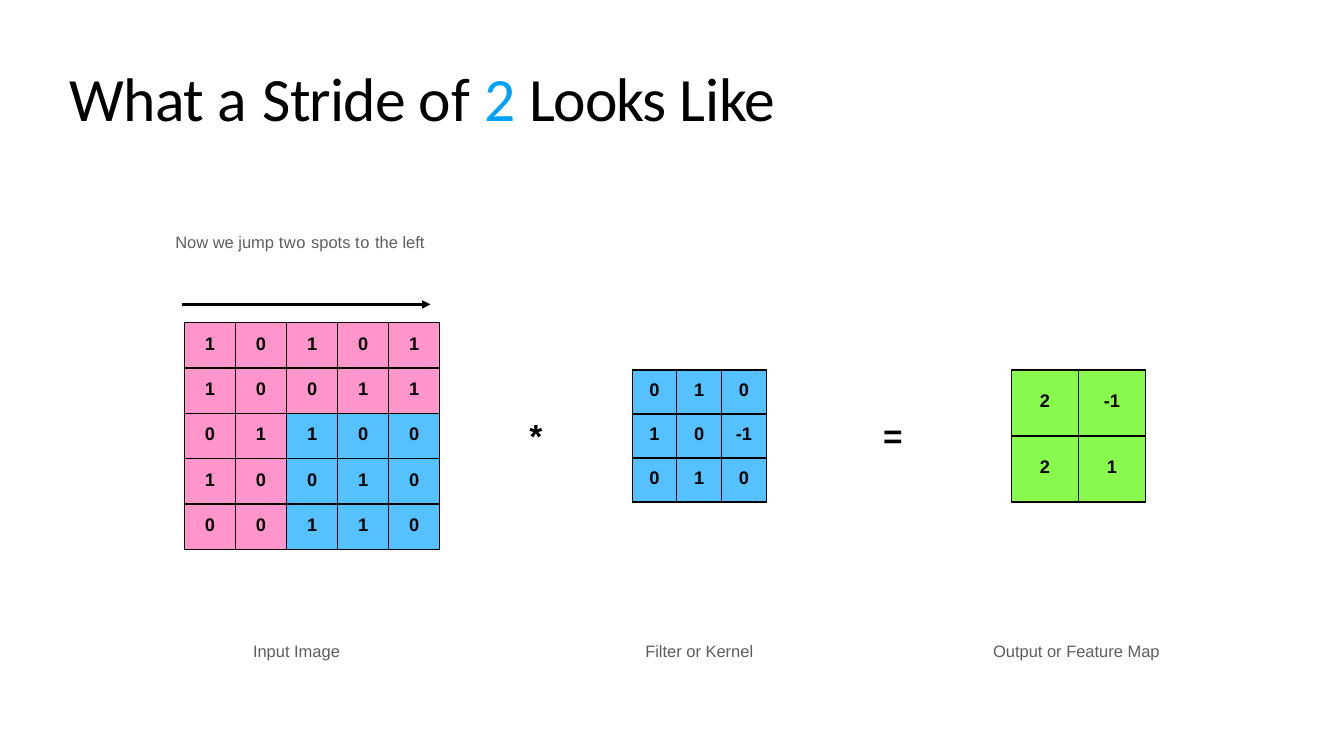
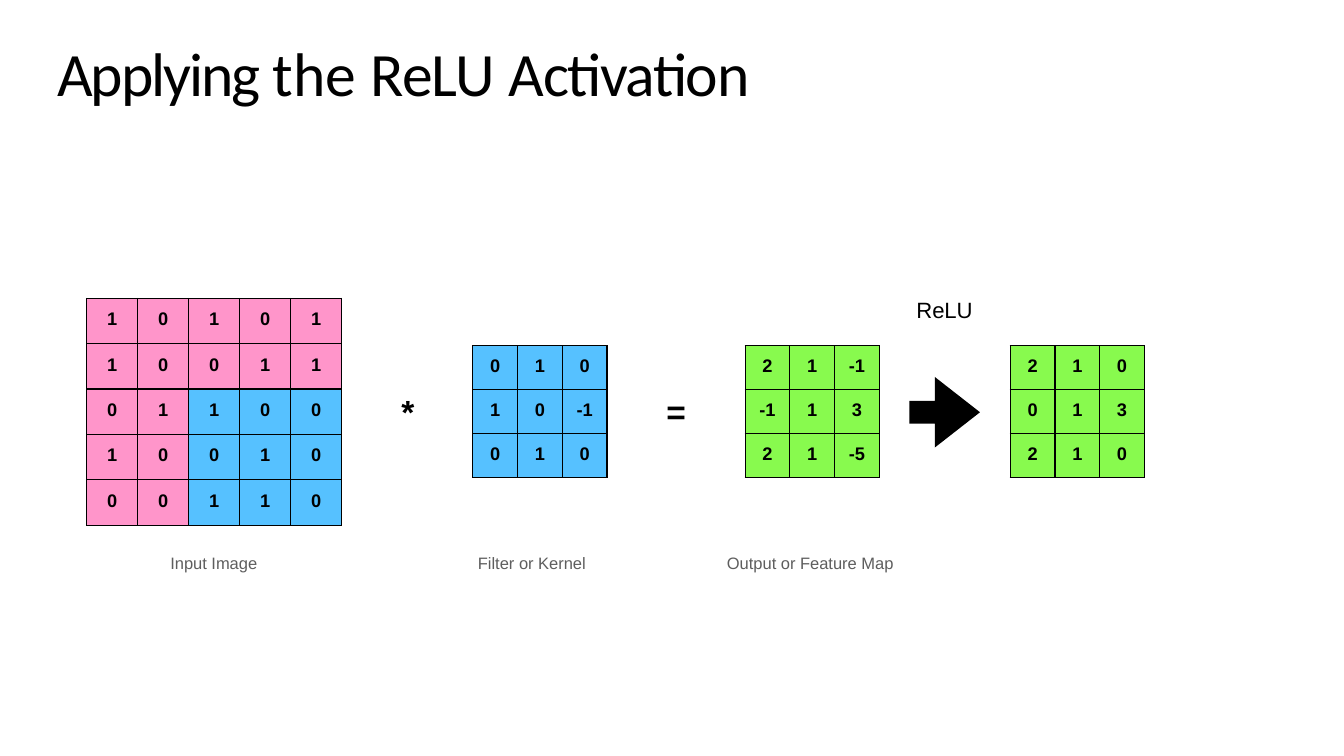
from pptx import Presentation
from pptx import util as u
from pptx.dml import color
from pptx.enum import shapes, text
from pptx.oxml import ns
from lxml import etree

HUE = {"black": "000000", "gray": "5E5E5E", "accent": "00A2FF",
       "pink": "FF95CA", "blue": "56C1FF", "green": "88FA4E"}
FONT = {
    "title": {"name": "Calibri", "size": u.Pt(44), "bold": False},
    "label": {"name": "Arial", "size": u.Pt(11.8), "bold": False},
    "note": {"name": "Arial", "size": u.Pt(15.8), "bold": False},
    "sign": {"name": "Arial", "size": u.Pt(23.9), "bold": True},
    "cell": {"name": "Arial", "size": u.Pt(13), "bold": True},
}
FRAME = {"word_wrap": True, "margin_left": u.Inches(0.01), "margin_right": 0,
         "margin_top": u.Inches(0.01), "margin_bottom": 0}
CELL = {"margin_left": 0, "margin_right": 0, "margin_top": 0,
        "margin_bottom": u.Inches(0.03),
        "vertical_anchor": text.MSO_ANCHOR.MIDDLE}
PLAIN = {"first_row": False, "horz_banding": False}

IMAGE = [[1, 0, 1, 0, 1],
         [1, 0, 0, 1, 1],
         [0, 1, 1, 0, 0],
         [1, 0, 0, 1, 0],
         [0, 0, 1, 1, 0]]
KERNEL = [[0, 1, 0], [1, 0, -1], [0, 1, 0]]
STRIDE = [[2, -1], [2, 1]]
MAP = [[2, 1, -1], [-1, 1, 3], [2, 1, -5]]
RELU = [[max(n, 0) for n in row] for row in MAP]


def put(item, vals):
    for key, val in vals.items():
        setattr(item, key, val)


def rgb(hue):
    return color.RGBColor.from_string(HUE[hue])


def paint(fill, hue):
    fill.solid()
    fill.fore_color.rgb = rgb(hue)


def write(para, words, kind, hue="black", gap=0):
    run = para.add_run()
    run.text = words
    put(run.font, FONT[kind])
    run.font.color.rgb = rgb(hue)
    run.font._element.set("spc", str(round(gap * 100)))


def add_text(slide, box, runs, kind, hue="black", **extra):
    frame = slide.shapes.add_textbox(*map(u.Inches, box)).text_frame
    put(frame, {**FRAME, **extra})
    for words, gap, *tint in runs:
        write(frame.paragraphs[0], words, kind, *(tint or [hue]), gap)


def add_title(slide, box, runs, **extra):
    add_text(slide, box, runs, "title",
             vertical_anchor=text.MSO_ANCHOR.MIDDLE, **extra)


def add_edges(cell):
    props = cell._tc.get_or_add_tcPr()
    for side in ("lnL", "lnR", "lnT", "lnB"):
        line = etree.SubElement(props, ns.qn("a:" + side), w=str(u.Pt(1)))
        fill = etree.SubElement(line, ns.qn("a:solidFill"))
        etree.SubElement(fill, ns.qn("a:srgbClr"), val=HUE["black"])


def add_grid(slide, left, top, side, data, pick):
    count = len(data)
    box = map(u.Inches, (left, top, *side))
    table = slide.shapes.add_table(count, count, *box).table
    put(table, PLAIN)
    for r, row in enumerate(data):
        for c, num in enumerate(row):
            cell = table.cell(r, c)
            put(cell, CELL)
            add_edges(cell)
            paint(cell.fill, pick(r, c))
            para = cell.text_frame.paragraphs[0]
            para.alignment = text.PP_ALIGN.CENTER
            write(para, str(num), "cell", gap=0 if num < 0 else -0.5)


def add_small(slide, left, top, data, hue):
    add_grid(slide, left, top, (1.33, 1.31), data, lambda r, c: hue)


def add_flow(slide, top, grids, signs, base, marks, result):
    add_grid(slide, grids[0], top, (2.53, 2.25), IMAGE,
             lambda r, c: "blue" if r > 1 and c > 1 else "pink")
    add_small(slide, grids[1], top + 0.47, KERNEL, "blue")
    add_small(slide, grids[2], top + 0.47, result, "green")
    for left, sign, wide, gap in zip(signs, "*=", (0.15, 0.22), (0.1, -0.3)):
        add_text(slide, (left, top + 0.91, wide, 0.41), [(sign, gap)], "sign")
    names = (("Input Image", 0.9), ("Filter or Kernel", 1.11),
             ("Output or Feature Map", 1.72))
    for left, (name, wide) in zip(marks, names):
        add_text(slide, (left, base, wide, 0.21), [(name, 0)], "label", "gray")


def add_arrow(slide, left, right, top):
    ends = map(u.Inches, (left, top, right, top))
    wire = slide.shapes.add_connector(shapes.MSO_CONNECTOR.STRAIGHT, *ends)
    wire.line.width = u.Pt(1.65)
    wire.line.color.rgb = rgb("black")
    etree.SubElement(wire.line._get_or_add_ln(), ns.qn("a:tailEnd"),
                     type="triangle")
    etree.SubElement(wire._element.spPr, ns.qn("a:effectLst"))


def add_block(slide, box):
    arrow = slide.shapes.add_shape(shapes.MSO_SHAPE.RIGHT_ARROW,
                                   *map(u.Inches, box))
    arrow.shadow.inherit = False
    arrow.adjustments[0] = 0.32
    arrow.adjustments[1] = 0.64
    paint(arrow.fill, "black")
    arrow.line.fill.background()


def draw_stride(slide):
    add_title(slide, (0.68, 0.58, 7.92, 0.75),
              [("What ", -0.5), ("a ", 0.7), ("Stride ", -0.7), ("of ", 0),
               ("2 ", 0, "accent"), ("Looks ", -0.9), ("Like", -0.1)])
    add_flow(slide, 3.2, (1.83, 6.27, 10.03), (5.24, 8.75),
             6.35, (2.5, 6.39, 9.84), STRIDE)
    add_text(slide, (1.73, 2.29, 2.57, 0.21),
             [("Now we jump ", 0), ("two ", 0.4), ("spots ", 0),
              ("to ", 0.4), ("the left", 0)], "label", "gray")
    add_arrow(slide, 1.81, 4.27, 3.02)


def draw_relu(slide):
    add_title(slide, (0.56, 0.29, 6.97, 0.79),
              [("Applying ", -1.5), ("the ", 0), ("ReLU ", -0.5),
               ("Activation", -0.9)], margin_top=u.Inches(0.05))
    add_flow(slide, 2.96, (0.86, 4.69, 7.39), (3.97, 6.6),
             5.48, (1.68, 4.73, 7.2), MAP)
    add_block(slide, (9.02, 3.74, 0.7, 0.7))
    add_small(slide, 10.02, 3.43, RELU, "green")
    add_text(slide, (9.08, 2.93, 0.6, 0.28), [("ReLU", -0.1)], "note")


def main():
    deck = Presentation()
    put(deck, {"slide_width": u.Inches(13.33), "slide_height": u.Inches(7.5)})
    for draw in (draw_stride, draw_relu):
        draw(deck.slides.add_slide(deck.slide_layouts[6]))
    deck.save("out.pptx")


if __name__ == "__main__":
    main()
